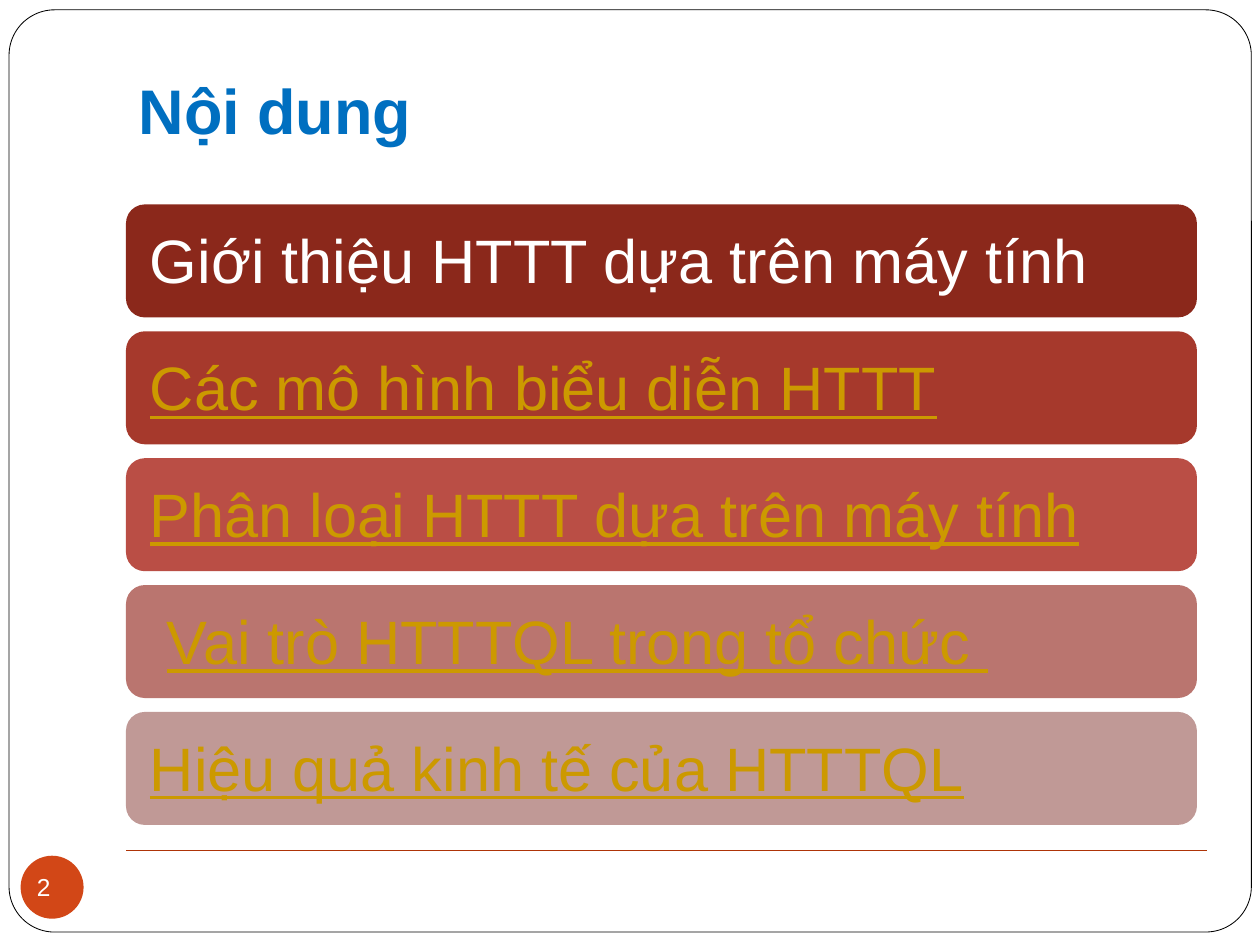
from dataclasses import dataclass

from pptx import Presentation
from pptx.dml.color import RGBColor
from pptx.enum.shapes import MSO_CONNECTOR as CONN, MSO_SHAPE as SHAPE
from pptx.enum.text import MSO_ANCHOR as ANCHOR, PP_ALIGN as ALIGN
from pptx.oxml.ns import qn
from pptx.util import Pt

BAR_LEFT, BAR_TOP, BAR_W, BAR_H, BAR_PITCH = 72, 116.8, 612, 64.6, 72.5
BAR_RADIUS = 10.8
FRAME_W, FRAME_H, FRAME_RADIUS = 709.9, 527, 26
LINK = {"color": "CC9900", "underline": True}


@dataclass
class Topic:
    text: str
    fill: str
    font: dict
    inset: float = 10.5


TOPICS = [
    Topic("Giới thiệu HTTT dựa trên máy tính", "8B281B", {"color": "FFFFFF"}),
    Topic("Các mô hình biểu diễn HTTT", "A6392C", LINK),
    Topic("Phân loại HTTT dựa trên máy tính", "BA4E45", LINK),
    Topic("Vai trò HTTTQL trong tổ chức ", "BA756F", LINK, 20.2),
    Topic("Hiệu quả kinh tế của HTTTQL", "C09996", LINK),
]


def rgb(color: str) -> RGBColor:
    return RGBColor.from_string(color)


def put_text(sp, text: str, font: dict, left=0.0, top=0.0, bottom=0.0) -> None:
    tf = sp.text_frame
    frame = {"word_wrap": True, "vertical_anchor": ANCHOR.MIDDLE,
             "margin_left": Pt(left), "margin_right": Pt(0),
             "margin_top": Pt(top), "margin_bottom": Pt(bottom)}
    for name, value in frame.items():
        setattr(tf, name, value)
    p = tf.paragraphs[0]
    p.alignment = ALIGN.LEFT
    r = p.add_run()
    r.text = text
    for name, value in ({"name": "Arial"} | font).items():
        if name == "color":
            r.font.color.rgb = rgb(value)
        else:
            setattr(r.font, name, value)


def add_shape(s, kind, x: float, y: float, w: float, h: float, fill=None, radius=0.0):
    sp = s.shapes.add_shape(kind, Pt(x), Pt(y), Pt(w), Pt(h))
    sp.shadow.inherit = False
    if radius:
        sp.adjustments[0] = radius / min(w, h)
    if fill:
        sp.fill.solid()
        sp.fill.fore_color.rgb = rgb(fill)
        sp.line.fill.background()
    else:
        sp.fill.background()
    return sp


def add_topic(s, topic: Topic, index: int) -> None:
    bar = add_shape(s, SHAPE.ROUNDED_RECTANGLE, BAR_LEFT, BAR_TOP + index * BAR_PITCH,
                    BAR_W, BAR_H, topic.fill, BAR_RADIUS)
    put_text(bar, topic.text, {"size": Pt(35)} | topic.font, topic.inset, bottom=2)


def set_line(line, color: str, width: float) -> None:
    line.color.rgb = rgb(color)
    line.width = Pt(width)


def main() -> None:
    prs = Presentation()
    prs.slide_width, prs.slide_height = Pt(720), Pt(540)
    s = prs.slides.add_slide(prs.slide_layouts[6])

    # Frame and footer rule
    frame = add_shape(s, SHAPE.ROUNDED_RECTANGLE, 5.2, 5.6, FRAME_W, FRAME_H,
                      radius=FRAME_RADIUS)
    set_line(frame.line, "000000", 0.48)
    rule = s.shapes.add_connector(CONN.STRAIGHT, Pt(72), Pt(486), Pt(689.8), Pt(486))
    set_line(rule.line, "AE3408", 0.72)
    sp_pr = rule._element.spPr
    sp_pr.append(sp_pr.makeelement(qn("a:effectLst"), {}))

    # Title
    title = s.shapes.add_textbox(Pt(78.5), Pt(37.4), Pt(180), Pt(45.4))
    put_text(title, "Nội dung", {"size": Pt(36), "bold": True, "color": "006FC0"},
             left=0.7, top=4.5)

    # Page number
    badge = add_shape(s, SHAPE.OVAL, 11.8, 489, 36, 36, "D24717")
    put_text(badge, "2", {"size": Pt(14), "color": "FFFFFF"}, left=4)

    # Topics
    for index, topic in enumerate(TOPICS):
        add_topic(s, topic, index)

    prs.save("out.pptx")


if __name__ == "__main__":
    main()
